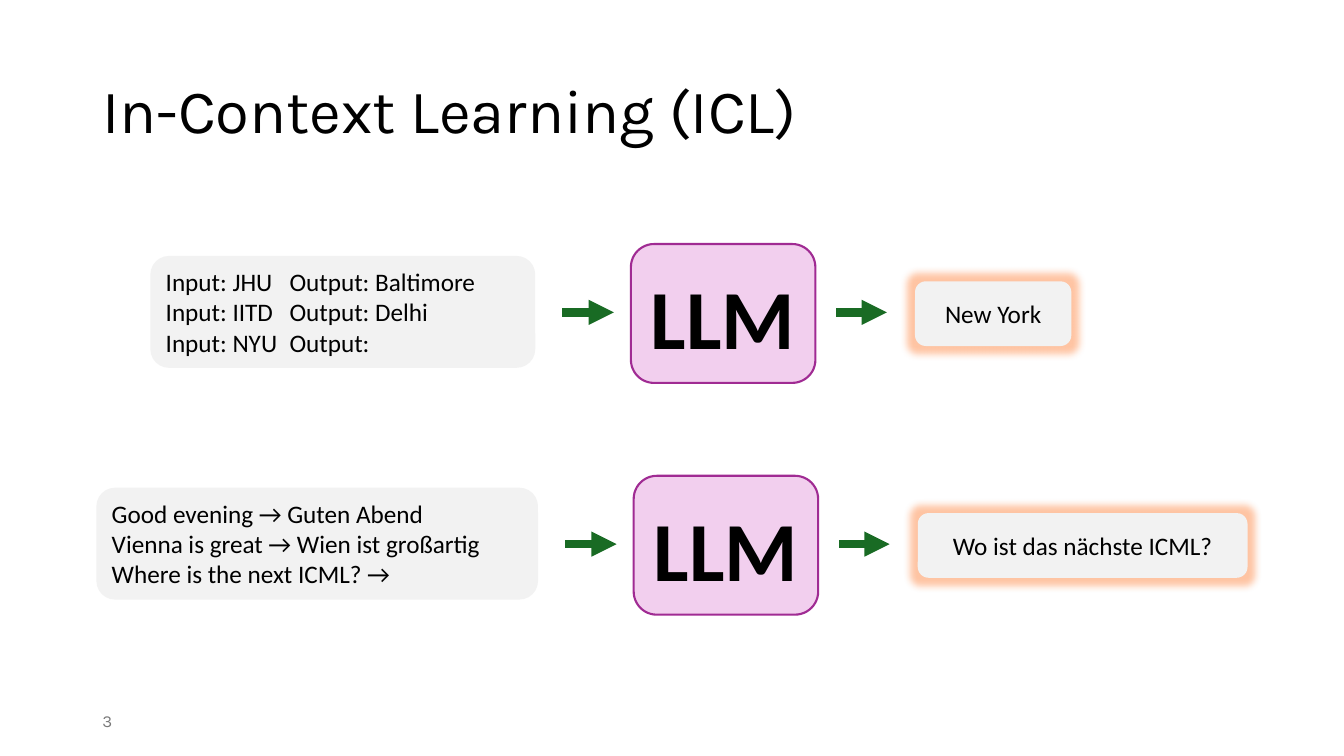
from lxml.etree import SubElement
from pptx import Presentation
from pptx.dml.color import RGBColor
from pptx.enum.shapes import MSO_CONNECTOR, MSO_SHAPE
from pptx.enum.text import MSO_ANCHOR, PP_ALIGN
from pptx.oxml.ns import qn
from pptx.util import Cm, Pt

BLACK = RGBColor(0x00, 0x00, 0x00)
GRAY = RGBColor(0x79, 0x79, 0x79)
PALE_GRAY = RGBColor(0xF2, 0xF2, 0xF2)
GREEN = RGBColor(0x19, 0x6B, 0x24)
PINK = RGBColor(0xF2, 0xCF, 0xEE)
PURPLE = RGBColor(0xA0, 0x2B, 0x93)
GLOW_ORANGE = RGBColor(0xFF, 0x6D, 0x1A)

LLM_WIDTH, LLM_HEIGHT = 4.65, 3.5
OUTPUT_TAB = 3.12


def write(shape, lines, size, font="Calibri", color=BLACK, bold=False,
          align=PP_ALIGN.LEFT, anchor=MSO_ANCHOR.MIDDLE):
    frame = shape.text_frame
    frame.word_wrap = True
    frame.vertical_anchor = anchor
    for index, line in enumerate(lines):
        paragraph = frame.paragraphs[0] if index == 0 else frame.add_paragraph()
        paragraph.alignment = align
        if "\t" in line:
            tabs = SubElement(paragraph._p.get_or_add_pPr(), qn("a:tabLst"))
            SubElement(tabs, qn("a:tab"), pos=str(Cm(OUTPUT_TAB)), algn="l")
        run = paragraph.add_run()
        run.text = line
        run.font.size = Pt(size)
        run.font.name = font
        run.font.bold = bold
        run.font.color.rgb = color
    return frame


def add_label(slide, left, top, width, height, line, size, **style):
    label = slide.shapes.add_textbox(Cm(left), Cm(top), Cm(width), Cm(height))
    return write(label, [line], size, **style)


def add_card(slide, left, top, width, height, fill, outline=None):
    card = slide.shapes.add_shape(MSO_SHAPE.ROUNDED_RECTANGLE,
                                  Cm(left), Cm(top), Cm(width), Cm(height))
    card.shadow.inherit = False
    card.fill.solid()
    card.fill.fore_color.rgb = fill
    if outline is None:
        card.line.fill.background()
    else:
        card.line.color.rgb = outline
        card.line.width = Pt(1.5)
    return card


def add_glow(card):
    effects = card._element.spPr.find(qn("a:effectLst"))
    glow = SubElement(effects, qn("a:glow"), rad=str(Pt(11)))
    color = SubElement(glow, qn("a:srgbClr"), val=str(GLOW_ORANGE))
    SubElement(color, qn("a:alpha"), val="40000")


def add_arrow(slide, start, end, y):
    arrow = slide.shapes.add_connector(MSO_CONNECTOR.STRAIGHT,
                                       Cm(start), Cm(y), Cm(end), Cm(y))
    arrow.line.color.rgb = GREEN
    arrow.line.width = Pt(6)
    SubElement(arrow.line._get_or_add_ln(), qn("a:tailEnd"), type="triangle")
    SubElement(arrow._element.spPr, qn("a:effectLst"))


def add_example(slide, left, top, prompt, prompt_width, answer, answer_width):
    """Prompt, model and answer in a row; left and top belong to the model."""
    # Prompt
    prompt_card = add_card(slide, left - 2.41 - prompt_width, top + 0.3,
                           prompt_width, 2.82, PALE_GRAY)
    write(prompt_card, prompt, 18)

    # Answer
    answer_card = add_card(slide, left + 7.16, top + 0.94,
                           answer_width, 1.63, PALE_GRAY)
    add_glow(answer_card)
    write(answer_card, [answer], 18, align=PP_ALIGN.CENTER)

    # Arrows into and out of the model
    for start, end in ((-1.73, -0.43), (5.18, 6.45)):
        add_arrow(slide, left + start, left + end, top + 1.72)

    # Model
    add_card(slide, left, top, LLM_WIDTH, LLM_HEIGHT, PINK, PURPLE)
    add_label(slide, left - 0.4, top + 0.42, LLM_WIDTH + 0.8, 2.82, "LLM", 60,
              bold=True, align=PP_ALIGN.CENTER, anchor=MSO_ANCHOR.TOP)


def add_title(slide, left, top, width, height):
    title = add_label(slide, left, top, width, height,
                      "In-Context Learning (ICL)", 44, font="Karla")
    title.paragraphs[0].line_spacing = 0.9


def main():
    deck = Presentation()
    deck.slide_width, deck.slide_height = Cm(33.87), Cm(19.05)
    slide = deck.slides.add_slide(deck.slide_layouts[6])

    add_title(slide, 2.33, 1.01, 29.21, 3.68)

    # Worked examples: cities, then translation
    add_example(slide, 15.9, 6.15,
                ["Input: JHU\tOutput: Baltimore",
                 "Input: IITD\tOutput: Delhi",
                 "Input: NYU\tOutput:"], 9.7,
                "New York", 3.94)
    add_example(slide, 15.97, 11.99,
                ["Good evening → Guten Abend",
                 "Vienna is great → Wien ist großartig",
                 "Where is the next ICML? →"], 11.13,
                "Wo ist das nächste ICML?", 8.31)

    # Page number
    add_label(slide, 2.33, 17.66, 7.62, 1.01, "3", 12, font="Karla", color=GRAY)

    deck.save("out.pptx")


if __name__ == "__main__":
    main()
